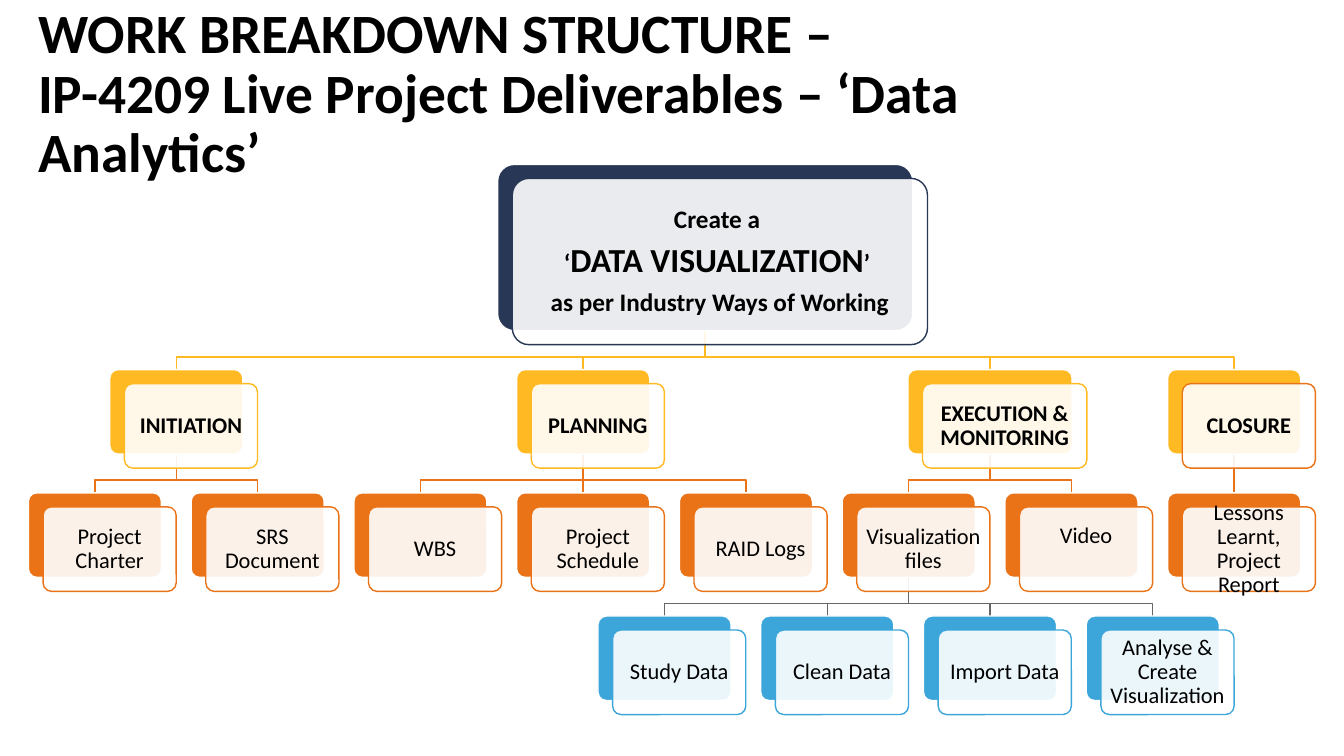
from dataclasses import dataclass

from lxml import etree
from pptx import Presentation
from pptx.dml.color import RGBColor
from pptx.enum.shapes import MSO_CONNECTOR, MSO_SHAPE
from pptx.enum.text import MSO_ANCHOR, MSO_AUTO_SIZE, PP_ALIGN
from pptx.oxml.ns import qn
from pptx.util import Pt

ROUNDED = MSO_SHAPE.ROUNDED_RECTANGLE
STRAIGHT = MSO_CONNECTOR.STRAIGHT
MIDDLE = MSO_ANCHOR.MIDDLE
NO_FIT = MSO_AUTO_SIZE.NONE
LEFT, CENTER = PP_ALIGN.LEFT, PP_ALIGN.CENTER
BOTTOM_SIDE, TOP_SIDE = 2, 0


@dataclass(frozen=True)
class Theme:
    font: str = "Calibri"
    ink: str = "000000"
    paper: str = "FFFFFF"
    goal: str = "273755"
    phase: str = "FFB923"
    deliverable: str = "EA7317"
    task: str = "3CA5D9"
    task_link: str = "666666"
    title_size: float = 39.6
    goal_size: float = 24
    goal_note_size: float = 18
    card_size: float = 16


THEME = Theme()

FIRST_CENTER, COLUMN_PITCH = 67.8, 116.25
PHASE_TOP, DELIVERABLE_TOP, TASK_TOP = 264, 352, 440
CARD_WIDTH, WIDE_CARD_WIDTH, CARD_HEIGHT = 95.1, 117.4, 60.4
GOAL_TOP, GOAL_WIDTH, GOAL_HEIGHT = 117.4, 296.6, 118.8
FACE_SHIFT_X, FACE_SHIFT_Y = 10.5, 10
CARD_MARGIN = 4.5
VIDEO_LIFT = 19
BEND_ABOVE_CHILD = 9

PHASES = [
    ("INITIATION", 0.5, CARD_WIDTH, THEME.phase,
     [("Project Charter", 0), ("SRS Document", 1)]),
    ("PLANNING", 3, CARD_WIDTH, THEME.phase,
     [("WBS", 2), ("Project Schedule", 3), ("RAID Logs", 4)]),
    ("EXECUTION & MONITORING", 5.5, WIDE_CARD_WIDTH, THEME.phase,
     [("Visualization files", 5), ("Video", 6)]),
    ("CLOSURE", 7, CARD_WIDTH, THEME.deliverable,
     [("Lessons Learnt, Project Report", 7)]),
]
TASKS = [
    ("Study Data", 3.5),
    ("Clean Data", 4.5),
    ("Import Data", 5.5),
    ("Analyse & Create Visualization", 6.5),
]


def color(code):
    return RGBColor.from_string(code)


def write_text(frame, paragraphs, *, size, bold=False, align=CENTER,
               space_after=0):
    frame.word_wrap = True
    frame.auto_size = NO_FIT
    frame.vertical_anchor = MIDDLE
    for index, pieces in enumerate(paragraphs):
        paragraph = frame.paragraphs[0] if index == 0 else frame.add_paragraph()
        paragraph.alignment = align
        paragraph.line_spacing = 0.9
        paragraph.space_after = Pt(space_after)
        for text, piece_size in pieces:
            for line_number, line in enumerate(text.split("\n")):
                if line_number:
                    paragraph.add_line_break()
                run = paragraph.add_run()
                run.text = line
                run.font.name = THEME.font
                run.font.size = Pt(piece_size or size)
                run.font.bold = bold
                run.font.color.rgb = color(THEME.ink)


def add_panel(slide, left, top, width, height, *, fill, line, opacity=100):
    panel = slide.shapes.add_shape(
        ROUNDED, Pt(left), Pt(top), Pt(width), Pt(height))
    panel.adjustments[0] = 0.1
    panel.shadow.inherit = False
    panel.fill.solid()
    panel.fill.fore_color.rgb = color(fill)
    panel.line.color.rgb = color(line)
    panel.line.width = Pt(1)
    if opacity < 100:
        tint = panel.element.spPr.find(qn("a:solidFill"))[0]
        etree.SubElement(tint, qn("a:alpha"), val=str(opacity * 1000))
    return panel


def add_card(slide, paragraphs, column, top, accent, *, width=CARD_WIDTH,
             height=CARD_HEIGHT, outline=None, lift=0, size=THEME.card_size,
             bold=False, space_after=0):
    left = FIRST_CENTER + column * COLUMN_PITCH - width / 2
    back = add_panel(slide, left, top, width, height,
                     fill=accent, line=THEME.paper)
    face = add_panel(slide, left + FACE_SHIFT_X, top + FACE_SHIFT_Y,
                     width, height, fill=THEME.paper,
                     line=outline or accent, opacity=90)
    frame = face.text_frame
    frame.margin_left = frame.margin_right = Pt(CARD_MARGIN)
    frame.margin_top = Pt(CARD_MARGIN)
    frame.margin_bottom = Pt(CARD_MARGIN + lift)
    write_text(frame, paragraphs, size=size, bold=bold, space_after=space_after)
    return back


def add_link(slide, parent, child, line):
    start_x = parent.left + parent.width // 2
    start_y = parent.top + parent.height
    end_x = child.left + child.width // 2
    if abs(end_x - start_x) < Pt(1):
        link = slide.shapes.add_connector(
            STRAIGHT, start_x, start_y, end_x, child.top)
        link.begin_connect(parent, BOTTOM_SIDE)
        link.end_connect(child, TOP_SIDE)
        etree.SubElement(link.element.spPr, qn("a:effectLst"))
    else:
        bend_y = child.top - Pt(BEND_ABOVE_CHILD)
        route = slide.shapes.build_freeform(start_x, start_y)
        route.add_line_segments(
            [(start_x, bend_y), (end_x, bend_y), (end_x, child.top)],
            close=False)
        link = route.convert_to_shape()
        link.fill.background()
        link.shadow.inherit = False
    link.line.color.rgb = color(line)
    link.line.width = Pt(1)
    slide.shapes.title.element.addnext(link.element)


def add_title(slide, text):
    title = slide.shapes.title
    title.left, title.top = Pt(20), Pt(16)
    title.width, title.height = Pt(828), Pt(104)
    write_text(title.text_frame, [[(text, None)]], size=THEME.title_size,
               bold=True, align=LEFT)


def add_goal(slide):
    paragraphs = [
        [("Create a ", None)],
        [("‘", None), ("DATA VISUALIZATION", THEME.goal_size), ("’ ", None)],
        [("as per Industry Ways of Working", None)],
    ]
    return add_card(slide, paragraphs, 3.75, GOAL_TOP, THEME.goal,
                    width=GOAL_WIDTH, height=GOAL_HEIGHT, bold=True,
                    size=THEME.goal_note_size, space_after=7)


def main():
    deck = Presentation()
    deck.slide_width, deck.slide_height = Pt(960), Pt(540)
    slide = deck.slides.add_slide(deck.slide_layouts[5])
    add_title(slide, "WORK BREAKDOWN STRUCTURE – \n"
                     "IP-4209 Live Project Deliverables – ‘Data Analytics’")
    goal = add_goal(slide)

    deliverable_cards = {}
    for name, column, width, outline, deliverables in PHASES:
        phase = add_card(slide, [[(name, None)]], column, PHASE_TOP,
                         THEME.phase, width=width, outline=outline, bold=True)
        add_link(slide, goal, phase, THEME.phase)
        for label, position in deliverables:
            card = add_card(slide, [[(label, None)]], position,
                            DELIVERABLE_TOP, THEME.deliverable,
                            lift=VIDEO_LIFT if label == "Video" else 0)
            add_link(slide, phase, card, THEME.deliverable)
            deliverable_cards[label] = card

    for label, column in TASKS:
        task = add_card(slide, [[(label, None)]], column, TASK_TOP, THEME.task)
        add_link(slide, deliverable_cards["Visualization files"], task,
                 THEME.task_link)

    deck.save("out.pptx")


if __name__ == "__main__":
    main()
